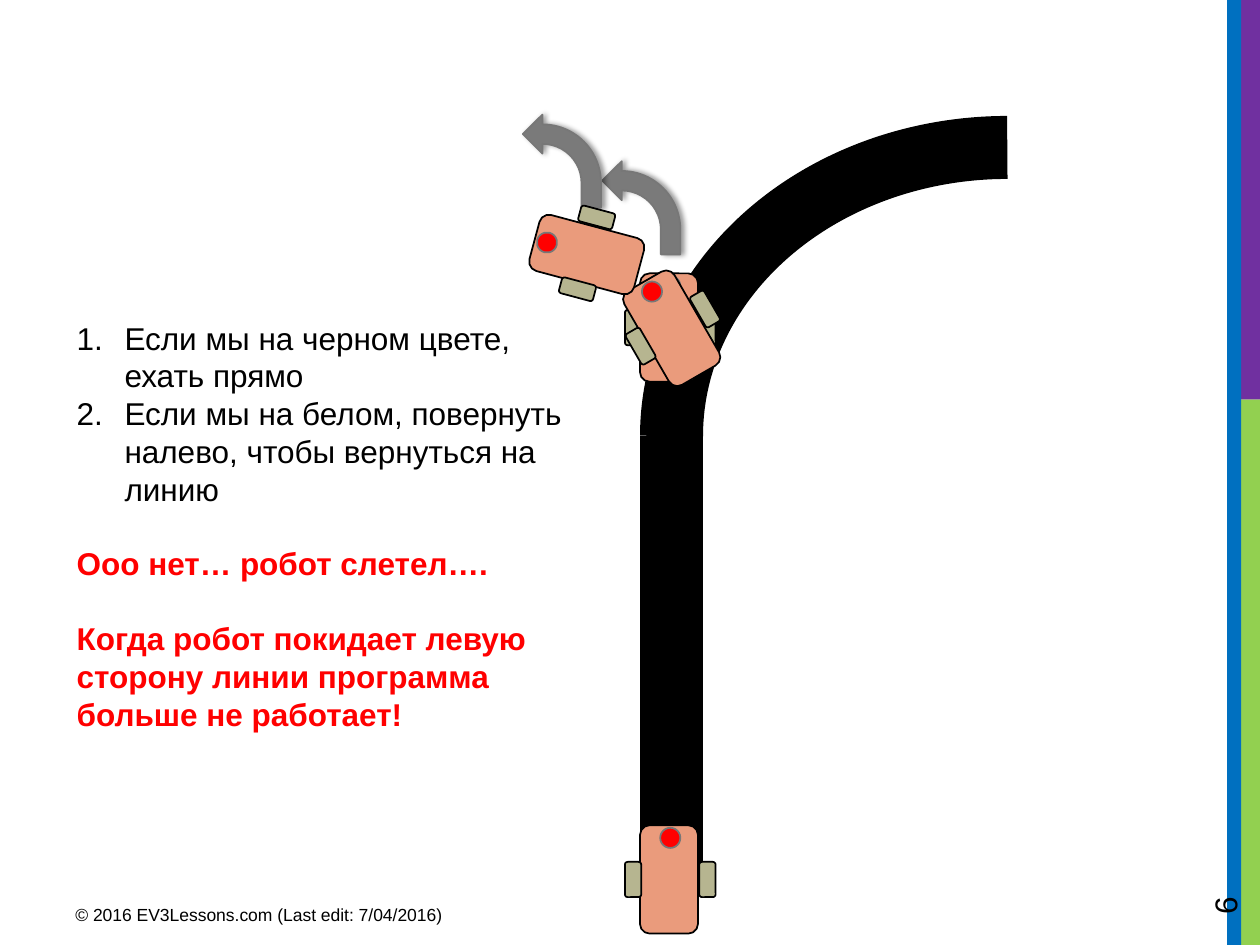
import pptx
import pptx.util
import pptx.dml.color
import pptx.enum.shapes
import pptx.enum.text
import pptx.oxml
import pptx.oxml.ns

Inches = pptx.util.Inches
Pt = pptx.util.Pt
SHAPES = pptx.enum.shapes.MSO_SHAPE
ANCHOR = pptx.enum.text.MSO_ANCHOR
NS = pptx.oxml.ns.nsdecls("a")


def paint(target, color):
    """Give a fill or a font one solid colour."""
    if hasattr(target, "solid"):
        target.solid()
        target = target.fore_color
    else:
        target = target.color
    target.rgb = pptx.dml.color.RGBColor.from_string(color)


def add_part(shapes, kind, box, fill=None, line=None, weight=1, flip=False):
    """Add a preset shape in a box of inches."""
    part = shapes.add_shape(kind, *[Inches(value) for value in box])
    part.shadow.inherit = False
    if fill:
        paint(part.fill, fill)
    else:
        part.fill.background()
    if line:
        paint(part.line.fill, line)
        part.line.width = Pt(weight)
    else:
        part.line.fill.background()
    if flip:
        part._element.spPr.xfrm.set("flipH", "1")
    return part


def add_text_box(page, box, anchor=ANCHOR.TOP, rotation=0):
    """Add a wrapping text box and return its frame."""
    holder = page.shapes.add_textbox(*[Inches(value) for value in box])
    holder.rotation = rotation
    frame = holder.text_frame
    frame.word_wrap = True
    frame.vertical_anchor = anchor
    return frame


def write(frame, text, size=18, color="000000", bold=False, before=0, numbered=False):
    """Write one paragraph into a text frame."""
    para = frame.paragraphs[0] if not frame.text else frame.add_paragraph()
    if numbered:
        props = para._p.get_or_add_pPr()
        props.set("marL", str(Inches(0.38)))
        props.set("indent", str(-Inches(0.38)))
        props.append(pptx.oxml.parse_xml(f'<a:buFont {NS} typeface="+mj-lt"/>'))
        props.append(pptx.oxml.parse_xml(f'<a:buAutoNum {NS} type="arabicPeriod"/>'))
    para.space_before = Pt(before)
    span = para.add_run()
    span.text = text
    span.font.name = "Arial"
    span.font.size = Pt(size)
    span.font.bold = bold
    paint(span.font, color)


def add_side_bars(page, left, height):
    """Draw the coloured strips along the right edge."""
    split = 3.17
    for offset, top, width, length, color in (
        (0, 0, 0.1, height, "0070C0"),
        (0.1, split, 0.16, height - split, "92D050"),
        (0.06, 0, 0.2, split, "7030A0"),
        (0.01, 0, 0.1, height, "0070C0"),
    ):
        add_part(page.shapes, SHAPES.RECTANGLE, (left + offset, top, width, length), color)


def add_track(page, left, top, width, height, bottom):
    """Draw the black line: a straight run, then a quarter turn to the right."""
    x, middle = Inches(left), Inches(top + height / 2)
    straight = page.shapes.add_connector(
        pptx.enum.shapes.MSO_CONNECTOR.STRAIGHT, x, Inches(bottom), x, middle)
    paint(straight.line.fill, "000000")
    straight.line.width = Pt(36)
    straight._element.spPr.append(pptx.oxml.parse_xml(f"<a:effectLst {NS}/>"))
    add_part(page.shapes, SHAPES.ARC, (left, top, width, height),
             line="000000", weight=36, flip=True)


def add_robot(page, left, top, rotation=0):
    """Draw a robot with two wheels and a sensor, turned about its centre."""
    robot = page.shapes.add_group_shape()
    for kind, x, y, width, height, fill, line in (
        (SHAPES.ROUNDED_RECTANGLE, 0.12, 0, 0.46, 0.86, "EA9B7C", "000000"),
        (SHAPES.ROUNDED_RECTANGLE, 0.59, 0.29, 0.13, 0.28, "B6B590", "000000"),
        (SHAPES.ROUNDED_RECTANGLE, 0, 0.29, 0.13, 0.28, "B6B590", "000000"),
        (SHAPES.OVAL, 0.28, 0.02, 0.16, 0.16, "FF0000", "777777"),
    ):
        add_part(robot.shapes, kind, (left + x, top + y, width, height), fill, line)
    robot.rotation = rotation


def add_turn_arrow(page, left, top):
    """Draw a shaded arrow that turns left."""
    arrow = add_part(page.shapes, SHAPES.BENT_ARROW, (left, top, 0.62, 0.74),
                     "7A7A7A", "777777", flip=True)
    arrow.adjustments[3] = 0.75
    effects = arrow._element.spPr.find(pptx.oxml.ns.qn("a:effectLst"))
    effects.append(pptx.oxml.parse_xml(
        f'<a:outerShdw {NS} blurRad="{Pt(3.1)}" dist="{Pt(1.8)}" dir="0" rotWithShape="0">'
        '<a:srgbClr val="000000"><a:alpha val="40000"/></a:srgbClr></a:outerShdw>'))


def add_rules(page, box):
    """Write the numbered rules and the red warnings."""
    frame = add_text_box(page, box)
    for rule in (
        "Если мы на черном цвете, ехать прямо",
        "Если мы на белом, повернуть налево, чтобы вернуться на линию",
    ):
        write(frame, rule, numbered=True)
    for warning in (
        "Ооо нет… робот слетел….",
        "Когда робот покидает левую сторону линии программа больше не работает!",
    ):
        write(frame, warning, color="FF0000", bold=True, before=21)


def add_footer(page, box, number_box):
    """Write the copyright line and the upright page number."""
    write(add_text_box(page, box, ANCHOR.MIDDLE),
          "© 2016 EV3Lessons.com (Last edit: 7/04/2016)", size=10)
    write(add_text_box(page, number_box, ANCHOR.MIDDLE, 270), "6")


def main():
    """Build the deck and save it."""
    deck = pptx.Presentation()
    deck.slide_width, deck.slide_height = Inches(10), Inches(7.5)
    page = deck.slides.add_slide(deck.slide_layouts[6])
    add_side_bars(page, 9.74, 7.5)
    add_track(page, 5.33, 1.17, 5.33, 4.58, 6.96)
    add_robot(page, 4.96, 6.55)
    add_robot(page, 4.96, 2.17)
    add_turn_arrow(page, 4.78, 1.28)
    add_robot(page, 4.98, 2.17, 330)
    add_turn_arrow(page, 4.15, 0.91)
    add_robot(page, 4.3, 1.58, 285)
    add_rules(page, (0.51, 2.48, 4.22, 3.43))
    add_footer(page, (0.5, 7.1, 3.75, 0.31), (9, 6.44, 1.44, 0.4))
    deck.save("out.pptx")


if __name__ == "__main__":
    main()
